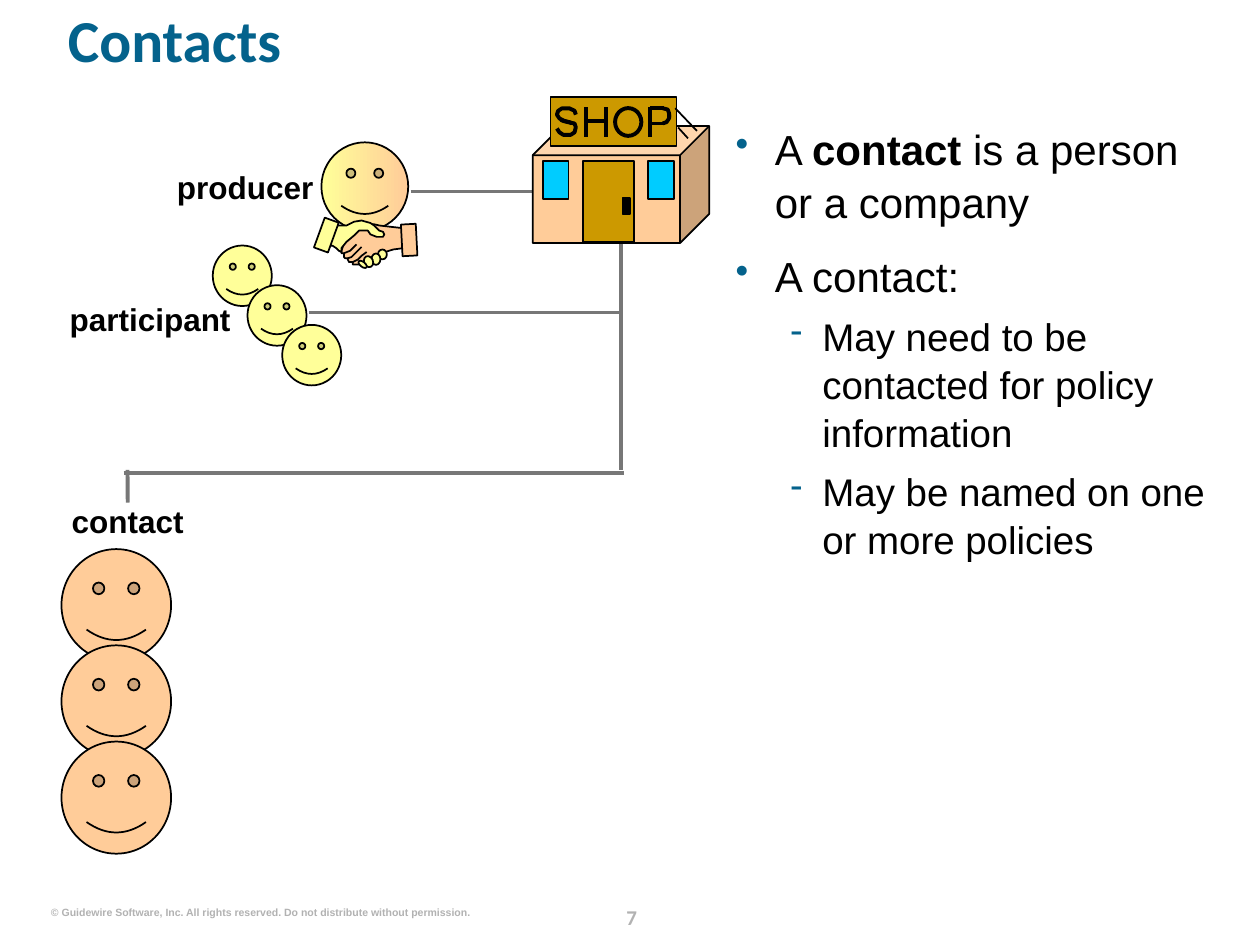
from lxml import etree
from pptx import Presentation
from pptx.dml.color import RGBColor
from pptx.enum.shapes import MSO_CONNECTOR, MSO_SHAPE
from pptx.enum.text import PP_ALIGN
from pptx.oxml.ns import qn
from pptx.util import Cm, Pt

STRAIGHT = MSO_CONNECTOR.STRAIGHT
RECT, OVAL = MSO_SHAPE.RECTANGLE, MSO_SHAPE.OVAL
CUBE, SMILEY = MSO_SHAPE.CUBE, MSO_SHAPE.SMILEY_FACE
LEFT, CENTER, RIGHT = PP_ALIGN.LEFT, PP_ALIGN.CENTER, PP_ALIGN.RIGHT

BLACK, GREY, PALE, TEAL = "000000", "777777", "B2B2B2", "04628C"
PEACH, YELLOW, GOLD, SKY = "FFCC99", "FFFF99", "CC9900", "00CCFF"
SKETCH_UNIT = Cm(2.54) / 100  # sketch points count hundredths of an inch

# Text: (text, left, top, width, height, font, size, colour, alignment)
TITLE = ("Contacts", 1.37, 0.33, 23.11, 2.06, "Calibri", 34, TEAL, LEFT)
PAGE_NUMBER = ("7", 12.01, 18.11, 1.45, 0.64, "Calibri", 12, PALE, CENTER)
COPYRIGHT = ("© Guidewire Software, Inc. All rights reserved. "
             "Do not distribute without permission.",
             1.02, 18.26, 8.46, 0.25, "Arial", 6, PALE, RIGHT)
LABELS = [
    ("producer", 3.07, 3.38, 3.25, 0.76, "Arial", 18, BLACK, RIGHT),
    ("participant", 1.4, 6.05, 3.25, 0.76, "Arial", 18, BLACK, RIGHT),
    ("contact", 1.24, 10.13, 2.67, 0.76, "Arial", 18, BLACK, CENTER),
]

# Bullets: (level, [(text, bold)])
BULLETS = [
    (0, [("A ", False), ("contact", True), (" is a person or a company", False)]),
    (0, [("A contact:", False)]),
    (1, [("May need to be contacted for policy information", False)]),
    (1, [("May be named on one or more policies", False)]),
]
# Level: (character, left margin, hanging indent, size, space before)
LEVELS = [("•", 0.79, 0.79, 24, 12), ("-", 1.75, 0.64, 22, 5.5)]

# Lines: (x1, y1, x2, y2)
LINKS = [
    (12.52, 9.47, 12.52, 4.04),
    (2.49, 9.53, 12.57, 9.53),
    (8.28, 3.86, 10.77, 3.86),
    (6.22, 6.3, 12.52, 6.3),
]
CONTACT_LINK = (2.57, 9.47, 2.57, 10.13)
SIGN_WIRES = [(13.61, 2.18, 14.05, 2.64), (13.67, 2.57, 13.87, 2.79)]
LETTER_STROKES = [
    (11.81, 2.16, 11.81, 2.77), (12.22, 2.16, 12.22, 2.77),
    (11.79, 2.44, 12.24, 2.44), (13.11, 2.16, 13.11, 2.77),
    (13.11, 2.18, 13.39, 2.18), (13.11, 2.49, 13.39, 2.49),
]

# Faces: (left, top, width, height, step right, step down, count, fill)
FACES = [
    (4.29, 4.95, 1.19, 1.22, 0.7, 0.8, 3, YELLOW),
    (1.24, 11.07, 2.21, 2.26, 0, 1.94, 3, PEACH),
]
PRODUCER_FACE = (6.48, 2.87, 1.75, 1.78)

# Shapes: (kind, left, top, width, height, fill, rotation)
SHOP = [
    (CUBE, 10.74, 2.54, 3.56, 2.36, PEACH, 0),
    (RECT, 11.76, 3.25, 1.02, 1.63, GOLD, 0),
    (RECT, 10.95, 3.25, 0.51, 0.76, SKY, 0),
    (RECT, 13.06, 3.25, 0.53, 0.76, SKY, 0),
    (RECT, 12.55, 3.99, 0.15, 0.33, BLACK, 0),
    (RECT, 11.1, 1.96, 2.54, 0.99, GOLD, 0),
]
LETTER_O = (OVAL, 12.4, 2.18, 0.53, 0.56, None, 0)
SLEEVES_AND_FINGERS = [
    (RECT, 8.1, 4.52, 0.3, 0.64, PEACH, -3),
    (RECT, 6.43, 4.42, 0.3, 0.64, YELLOW, 19.9),
    (OVAL, 7.62, 5.03, 0.18, 0.2, YELLOW, 0),
    (OVAL, 7.49, 5.11, 0.18, 0.23, YELLOW, 0),
    (OVAL, 7.34, 5.16, 0.18, 0.23, YELLOW, -23.5),
    (OVAL, 7.26, 5.23, 0.1, 0.2, YELLOW, -51.7),
]

LETTER_CURVES = [  # bowl of the P, then the two halves of the S
    [(526, 86), (530, 87), (531, 90), (531, 93)],
    [(526, 98), (529, 97), (531, 94), (531, 91)],
    [(457, 91), (456, 88), (452, 86), (450, 86), (446, 86), (443, 88),
     (442, 91), (444, 94), (448, 96), (452, 97), (454, 98)],
    [(442, 102), (444, 105), (447, 107), (449, 107), (453, 107), (456, 105),
     (457, 101), (456, 98), (451, 97), (447, 96), (445, 95)],
]
PEACH_HAND = [
    (319, 181), (301, 179), (297, 178), (285, 178), (272, 184), (267, 190),
    (279, 186), (280, 187), (273, 193), (271, 199), (271, 201), (273, 201),
    (273, 204), (274, 205), (276, 205), (276, 206), (277, 208), (280, 208),
    (280, 210), (284, 210), (288, 209), (297, 204), (306, 200), (312, 198),
    (320, 197), (322, 197), (321, 191),
]
YELLOW_HAND = [
    (267, 179), (272, 179), (275, 179), (281, 176), (287, 175), (294, 177),
    (297, 179), (301, 183), (304, 184), (305, 186), (304, 188), (299, 188),
    (294, 186), (292, 183), (288, 183), (285, 183), (281, 187), (275, 192),
    (271, 197), (271, 200), (269, 199), (267, 197), (264, 195), (262, 195),
    (263, 189),
]
FINGER_GAPS = [
    [(273, 201), (278, 199), (283, 194)],
    [(276, 205), (279, 204), (282, 201), (287, 196)],
    [(280, 208), (284, 206), (287, 203), (291, 200)],
]


def rgb(value):
    return RGBColor.from_string(value)


def style(shape, fill, width=1):
    shape.shadow.inherit = False
    if fill:
        shape.fill.solid()
        shape.fill.fore_color.rgb = rgb(fill)
    else:
        shape.fill.background()
    shape.line.color.rgb = rgb(BLACK)
    shape.line.width = Pt(width)


def add_shape(page, kind, left, top, width, height, fill, rotation, line=1):
    shape = page.shapes.add_shape(kind, Cm(left), Cm(top), Cm(width), Cm(height))
    shape.rotation = rotation
    style(shape, fill, line)
    return shape


def add_sketch(page, points, fill=None, width=1, close=False):
    builder = page.shapes.build_freeform(*points[0], scale=SKETCH_UNIT)
    builder.add_line_segments(points[1:], close=close)
    style(builder.convert_to_shape(), fill, width)


def add_line(page, ends, colour, width):
    line = page.shapes.add_connector(STRAIGHT, *[Cm(value) for value in ends])
    line.line.color.rgb = rgb(colour)
    line.line.width = Pt(width)
    etree.SubElement(line._element.spPr, qn("a:effectLst"))
    return line


def add_box(page, left, top, width, height):
    box = page.shapes.add_textbox(Cm(left), Cm(top), Cm(width), Cm(height))
    frame = box.text_frame
    frame.word_wrap = True
    frame.margin_left = frame.margin_right = 0
    frame.margin_top = frame.margin_bottom = 0
    return box


def format_font(font, name, size, colour, bold):
    font.name, font.size, font.bold = name, Pt(size), bold
    font.color.rgb = rgb(colour)


def add_text(page, text, left, top, width, height, name, size, colour, align):
    box = add_box(page, left, top, width, height)
    para = box.text_frame.paragraphs[0]
    para.text = text
    para.alignment = align
    format_font(para.runs[0].font, name, size, colour, True)
    return box


def add_bullets(page):
    frame = add_box(page, 14.83, 2.44, 9.7, 14.43).text_frame
    for index, (level, spans) in enumerate(BULLETS):
        mark, margin, hanging, size, space = LEVELS[level]
        para = frame.add_paragraph() if index else frame.paragraphs[0]
        para.level = level
        para.line_spacing = 1.05
        if index:
            para.space_before = Pt(space)
        props = para._p.get_or_add_pPr()
        props.set("marL", str(Cm(margin)))
        props.set("indent", str(-Cm(hanging)))
        colour = etree.SubElement(props, qn("a:buClr"))
        etree.SubElement(colour, qn("a:srgbClr"), val=TEAL)
        etree.SubElement(props, qn("a:buSzPct"), val="90000")
        etree.SubElement(props, qn("a:buChar"), char=mark)
        for text, bold in spans:
            span = para.add_run()
            span.text = text
            format_font(span.font, "Arial", size, BLACK, bold)


def add_shop(page):
    for part in SHOP:
        add_shape(page, *part)
    for ends in SIGN_WIRES:
        add_line(page, ends, BLACK, 1)
    for ends in LETTER_STROKES:
        add_line(page, ends, BLACK, 2.25)
    add_shape(page, *LETTER_O, line=2.25)
    for points in LETTER_CURVES:
        add_sketch(page, points, width=2.25)


def add_producer(page):
    face = add_shape(page, SMILEY, *PRODUCER_FACE, YELLOW, 0)
    face.fill.gradient()
    face.fill.gradient_angle = 0
    for stop, colour in zip(face.fill.gradient_stops, (YELLOW, PEACH)):
        stop.color.rgb = rgb(colour)
    add_sketch(page, PEACH_HAND, PEACH, close=True)
    add_sketch(page, YELLOW_HAND, YELLOW, close=True)
    for part in SLEEVES_AND_FINGERS:
        add_shape(page, *part)
    for points in FINGER_GAPS:
        add_sketch(page, points)


def main():
    deck = Presentation()
    deck.slide_width, deck.slide_height = Cm(25.4), Cm(19.05)
    page = deck.slides.add_slide(deck.slide_layouts[6])
    number = add_text(page, *PAGE_NUMBER)
    number.text_frame.paragraphs[0].line_spacing = Pt(18)
    add_text(page, *COPYRIGHT).text_frame.word_wrap = False
    title = add_text(page, *TITLE)
    title.text_frame.paragraphs[0].line_spacing = 0.8
    add_bullets(page)
    for ends in LINKS:
        add_line(page, ends, GREY, 2.25)
    labels = {label[0]: add_text(page, *label) for label in LABELS}
    add_line(page, CONTACT_LINK, GREY, 2.25).end_connect(labels["contact"], 0)
    for left, top, width, height, right, down, count, fill in FACES:
        for i in range(count):
            add_shape(page, SMILEY, left + i * right, top + i * down,
                      width, height, fill, 0)
    add_shop(page)
    add_producer(page)
    deck.save("out.pptx")


if __name__ == "__main__":
    main()
